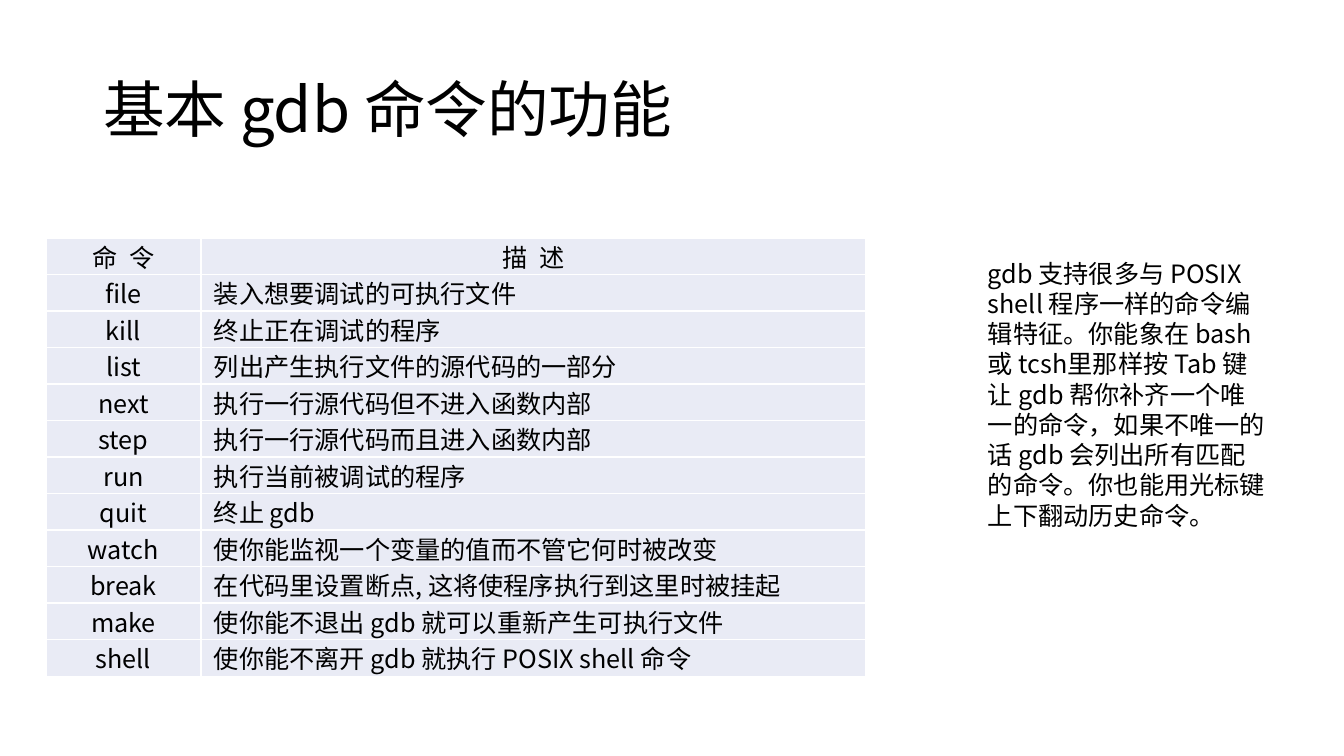
import pptx
import pptx.util
import pptx.dml.color
import pptx.enum.text
import pptx.oxml.ns
from lxml import etree

PX = 914400 / 100.8
FONT = "Noto Sans CJK SC"
BLACK = pptx.dml.color.RGBColor(0x00, 0x00, 0x00)
WHITE = pptx.dml.color.RGBColor(0xFF, 0xFF, 0xFF)
PALE = pptx.dml.color.RGBColor(0xE9, 0xEB, 0xF5)
ALIGN = pptx.enum.text.PP_ALIGN
MIDDLE = pptx.enum.text.MSO_ANCHOR.MIDDLE
FIT = pptx.enum.text.MSO_AUTO_SIZE
qn = pptx.oxml.ns.qn

HEAD = ("命  令", "描  述")
ROWS = [
    ("file", "装入想要调试的可执行文件"),
    ("kill", "终止正在调试的程序"),
    ("list", "列出产生执行文件的源代码的一部分"),
    ("next", "执行一行源代码但不进入函数内部"),
    ("step", "执行一行源代码而且进入函数内部"),
    ("run", "执行当前被调试的程序"),
    ("quit", "终止 gdb"),
    ("watch", "使你能监视一个变量的值而不管它何时被改变"),
    ("break", "在代码里设置断点, 这将使程序执行到这里时被挂起"),
    ("make", "使你能不退出 gdb 就可以重新产生可执行文件"),
    ("shell", "使你能不离开 gdb 就执行 POSIX shell 命令"),
]
NOTE = (
    "gdb 支持很多与 POSIX shell 程序一样的命令编辑特征。"
    "你能象在 bash 或 tcsh里那样按 Tab 键让 gdb 帮你补齐一个唯一的命令，"
    "如果不唯一的话 gdb 会列出所有匹配的命令。"
    "你也能用光标键上下翻动历史命令。"
)


def px(n):
    return pptx.util.Emu(round(n * PX))


def write(frame, text, size, align):
    para = frame.paragraphs[0]
    para.alignment = align
    run = para.add_run()
    run.text = text
    run.font.size = pptx.util.Pt(size)
    run.font.name = FONT
    run.font.color.rgb = BLACK
    east = etree.SubElement(run.font._element, qn("a:ea"))
    east.set("typeface", FONT)
    return para


def edge(cell):
    props = cell._tc.get_or_add_tcPr()
    for side in ("lnL", "lnR", "lnT", "lnB"):
        line = etree.SubElement(props, qn("a:" + side), w="12700")
        fill = etree.SubElement(line, qn("a:solidFill"))
        etree.SubElement(fill, qn("a:srgbClr"), val=str(WHITE))


def title(slide, x, y, w, h):
    shape = slide.shapes.title
    shape.left, shape.top, shape.width, shape.height = map(px, (x, y, w, h))
    frame = shape.text_frame
    frame.vertical_anchor = MIDDLE
    frame.auto_size = FIT.NONE
    para = write(frame, "基本 gdb 命令的功能", 44, ALIGN.LEFT)
    para.line_spacing = 0.9


def table(slide, x, y, w, h):
    lines = [HEAD] + ROWS
    grid = slide.shapes.add_table(len(lines), 2, *map(px, (x, y, w, h))).table
    first = 155
    grid.columns[0].width = px(first)
    grid.columns[1].width = px(w - first)
    for r, line in enumerate(lines):
        grid.rows[r].height = px(h / len(lines))
        for c, text in enumerate(line):
            cell = grid.cell(r, c)
            cell.margin_left = cell.margin_right = px(13)
            cell.margin_top = cell.margin_bottom = 0
            cell.vertical_anchor = MIDDLE
            edge(cell)
            cell.fill.solid()
            cell.fill.fore_color.rgb = PALE
            align = ALIGN.JUSTIFY if r and c else ALIGN.CENTER
            write(cell.text_frame, text, 18, align)


def note(slide, x, y, w, h):
    frame = slide.shapes.add_textbox(*map(px, (x, y, w, h))).text_frame
    frame.word_wrap = True
    frame.auto_size = FIT.SHAPE_TO_FIT_TEXT
    write(frame, NOTE, 18, ALIGN.LEFT)


def main():
    deck = pptx.Presentation()
    deck.slide_width = px(1344)
    deck.slide_height = px(756)
    slide = deck.slides.add_slide(deck.slide_layouts[5])
    title(slide, 93, 40, 1159, 146)
    table(slide, 46, 238, 820, 372)
    note(slide, 978, 253, 300, 285)
    deck.save("out.pptx")


if __name__ == "__main__":
    main()
